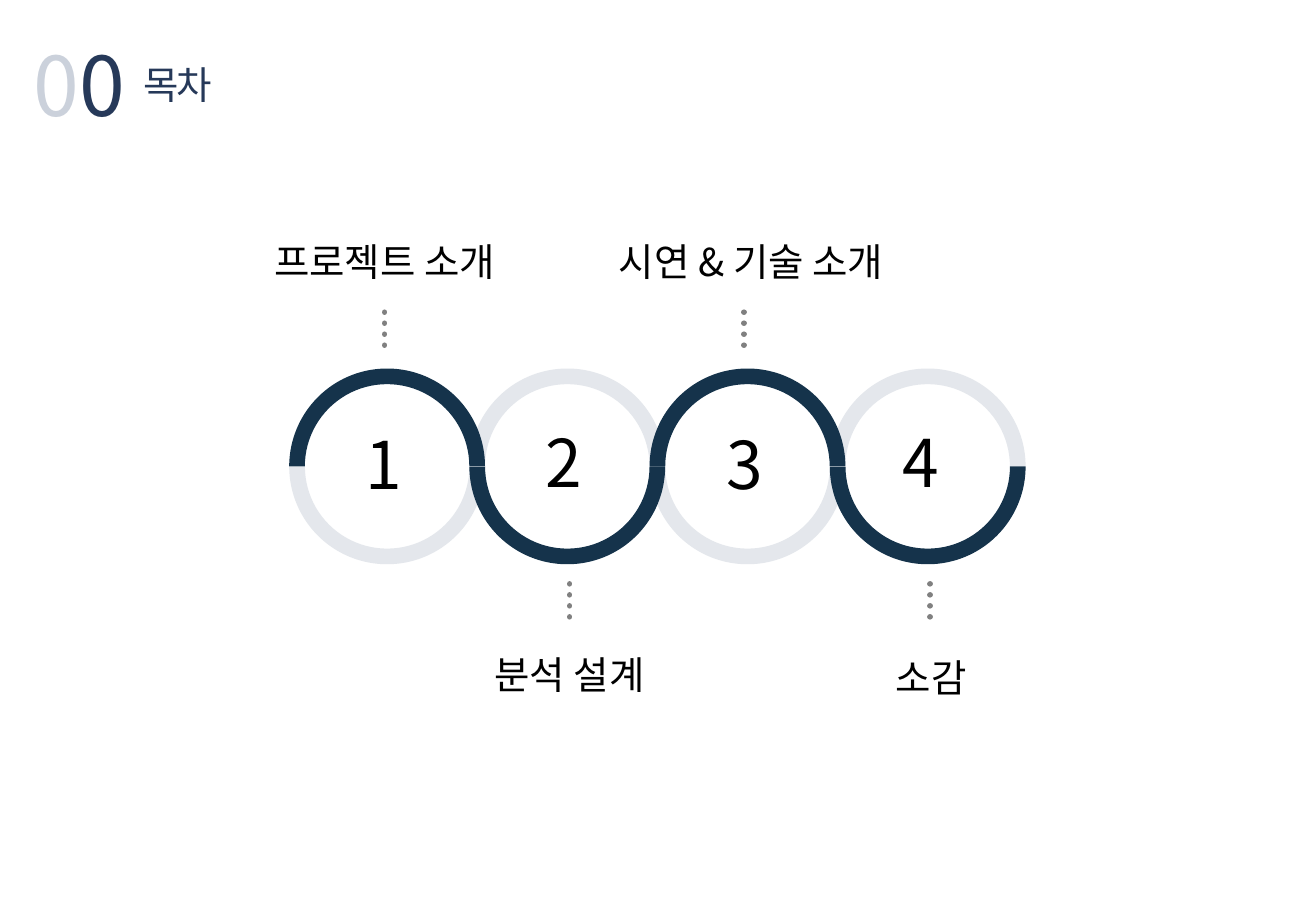
from dataclasses import dataclass

from lxml.etree import SubElement
from pptx import Presentation
from pptx.dml.color import RGBColor
from pptx.enum.dml import MSO_LINE
from pptx.enum.shapes import MSO_CONNECTOR, MSO_SHAPE
from pptx.enum.text import PP_ALIGN
from pptx.oxml.ns import qn
from pptx.util import Inches, Pt

FONT = "Noto Sans CJK KR"
COLOURS = {
    "navy": "15334B",
    "pale": "E4E7EC",
    "dots": "808080",
    "black": "000000",
    "title": "263959",
    "title_pale": "CBD1DB",
}


@dataclass
class Box:
    left: float
    top: float
    width: float
    height: float

    def inches(self):
        return [Inches(n) for n in (self.left, self.top, self.width, self.height)]


@dataclass
class Topic:
    """One ring; the shifts nudge its parts sideways from the ring's centre."""
    name: str
    label_width: float = 2.16
    label_shift: float = 0
    label_drop: float = 0
    dots_shift: float = 0
    digit_shift: float = 0.03


TOPICS = [
    Topic("프로젝트 소개", label_shift=-0.02, dots_shift=-0.02),
    Topic("분석 설계", label_shift=0.02, dots_shift=0.02),
    Topic("시연 & 기술 소개", label_width=2.65, label_shift=0.03, dots_shift=-0.03),
    Topic("소감", label_shift=0.03, label_drop=0.03, dots_shift=0.02, digit_shift=0),
]


def colour(name):
    return RGBColor.from_string(COLOURS[name])


def add_text(page, box, spans, size, align=PP_ALIGN.LEFT, spacing=None):
    """Write one paragraph; spans are (text, colour name) pairs."""
    frame = page.shapes.add_textbox(*box.inches()).text_frame
    frame.word_wrap = True
    para = frame.paragraphs[0]
    para.alignment = align
    for text, tint in spans:
        span = para.add_run()
        span.text = text
        span.font.size = Pt(size)
        span.font.name = FONT
        span.font.color.rgb = colour(tint)
        properties = span.font._element
        SubElement(properties, qn("a:ea")).set("typeface", FONT)
        if spacing:
            properties.set("spc", str(spacing))


def add_half_ring(page, box, tint, lower):
    arc = page.shapes.add_shape(MSO_SHAPE.BLOCK_ARC, *box.inches())
    for index, value in enumerate((108, 215.94, 0.08)):
        arc.adjustments[index] = value
    arc.rotation = 180 if lower else 0
    arc.shadow.inherit = False
    arc.fill.solid()
    arc.fill.fore_color.rgb = colour(tint)
    arc.line.fill.background()


def add_dots(page, x, top, bottom):
    dots = page.shapes.add_connector(
        MSO_CONNECTOR.STRAIGHT, Inches(x), Inches(top), Inches(x), Inches(bottom))
    dots.line.color.rgb = colour("dots")
    dots.line.width = Pt(3.25)
    dots.line.dash_style = MSO_LINE.ROUND_DOT
    dots.line._ln.set("cap", "rnd")
    SubElement(dots._element.spPr, qn("a:effectLst"))


def add_title(page, box):
    number = Box(box.left, box.top, box.width * 0.2, box.height)
    add_text(page, number, [("0", "title_pale"), ("0", "title")], 48.8, PP_ALIGN.CENTER)
    heading = Box(box.left + box.width * 0.18, box.top + box.height * 0.24,
                  box.width * 0.82, box.height * 0.52)
    add_text(page, heading, [("목차", "title")], 22.8, spacing=-120)


def add_topic_chain(page, box, topics):
    """Link the rings in a wave, with labels above and below in turn."""
    ring = box.height * 0.41
    pitch = (box.width - ring) / (len(topics) - 1)
    ring_top = box.top + box.height * 0.286
    middle = ring_top + ring / 2
    for tint in ("pale", "navy"):
        for index in range(len(topics)):
            arc = Box(box.left + index * pitch, ring_top, ring, ring)
            add_half_ring(page, arc, tint, lower=(index % 2 == 1) == (tint == "navy"))

    label_height = box.height * 0.135
    for index, topic in enumerate(topics):
        below = index % 2 == 1
        centre = box.left + ring / 2 + index * pitch
        digit = Box(centre + topic.digit_shift - 0.305, middle - (0.42 if below else 0.4),
                    0.61, 0.83)
        add_text(page, digit, [(str(index + 1), "black")], 39)
        dots_top = box.top + box.height * (0.737 if below else 0.168)
        add_dots(page, centre + topic.dots_shift, dots_top, dots_top + box.height * 0.085)
        label_top = box.top + (box.height * 0.865 if below else 0) + topic.label_drop
        label = Box(centre + topic.label_shift - topic.label_width / 2, label_top,
                    topic.label_width, label_height)
        add_text(page, label, [(topic.name, "black")], 22.8, PP_ALIGN.CENTER)


def main():
    deck = Presentation()
    deck.slide_width, deck.slide_height = Inches(10.83), Inches(7.5)
    page = deck.slides.add_slide(deck.slide_layouts[6])
    add_title(page, Box(0.12, 0.23, 5.35, 0.92))
    add_topic_chain(page, Box(2.38, 1.91, 6.06, 3.93), TOPICS)
    deck.save("out.pptx")


if __name__ == "__main__":
    main()
